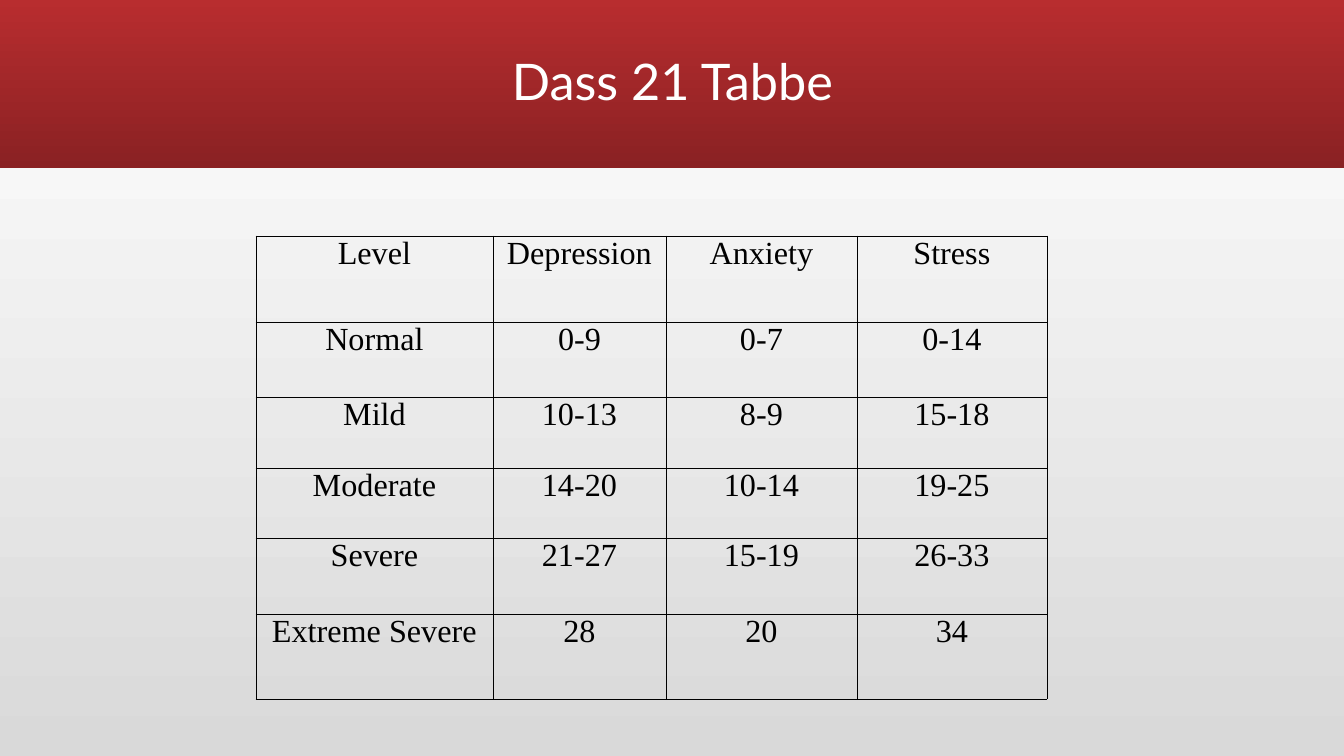
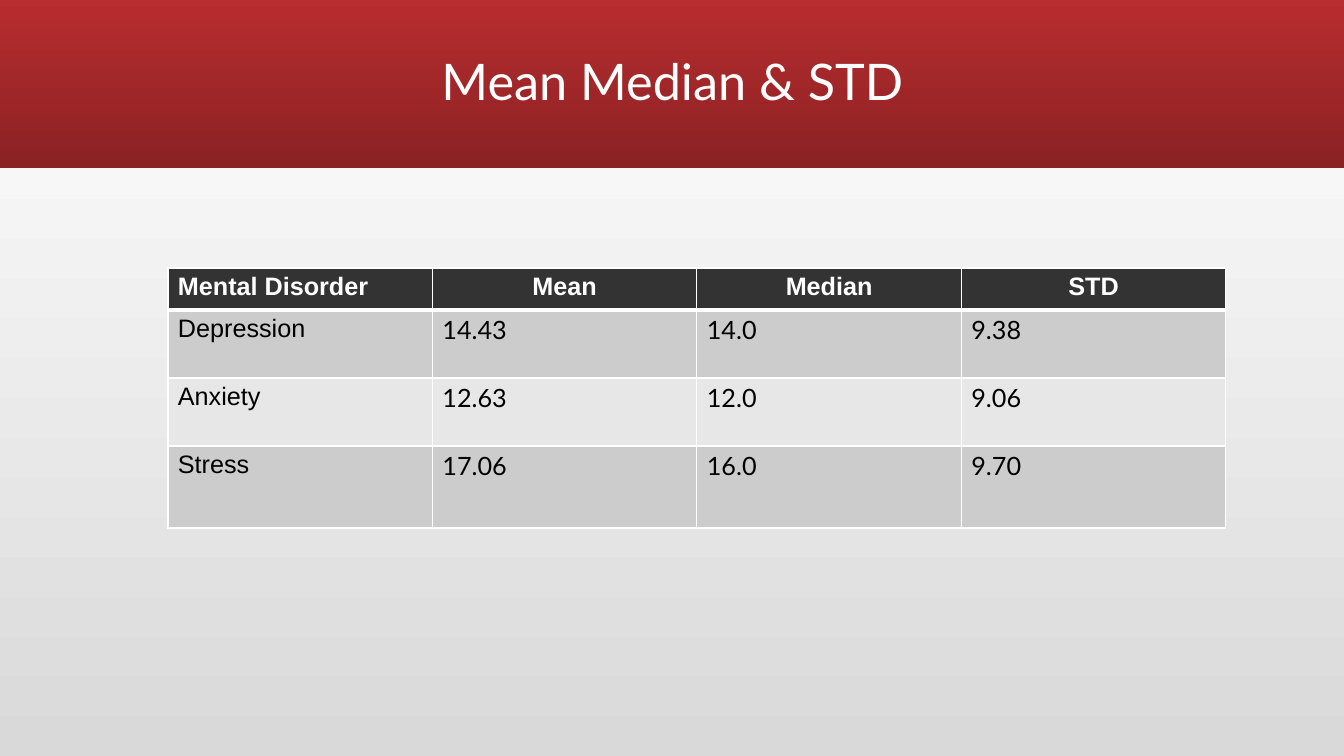
from lxml.etree import SubElement
from pptx import Presentation
from pptx.dml.color import RGBColor
from pptx.enum.shapes import MSO_SHAPE
from pptx.enum.text import MSO_ANCHOR, PP_ALIGN
from pptx.oxml.ns import qn
from pptx.util import Pt

PX = 914400 / 100.8  # EMU in one pixel
WIDTH, HEIGHT = 1344, 756

WHITE = RGBColor(0xFF, 0xFF, 0xFF)
BLACK = RGBColor(0x00, 0x00, 0x00)
BACK_GREY = RGBColor(0xD9, 0xD9, 0xD9)
BAND_RED = RGBColor(0xB8, 0x2D, 0x2F)
BAND_DARK = RGBColor(0x8A, 0x21, 0x23)
HEADER_GREY = RGBColor(0x33, 0x33, 0x33)
ROW_GREYS = RGBColor(0xCC, 0xCC, 0xCC), RGBColor(0xE7, 0xE7, 0xE7)


def px(*lengths):
    return [round(length * PX) for length in lengths]


def format_cell(cell, text, font, margins, align, edges, edge_color, fill_color=None):
    """Fill one table cell; edges gives the line widths left, right, top, bottom."""
    cell.text = text
    cell.margin_left = cell.margin_right = px(margins[0])[0]
    cell.margin_top = cell.margin_bottom = px(margins[1])[0]
    paragraph = cell.text_frame.paragraphs[0]
    paragraph.alignment = align
    color = font["color"]
    for name in ("name", "size", "bold"):
        setattr(paragraph.runs[0].font, name, font[name])
    paragraph.runs[0].font.color.rgb = color

    properties = cell._tc.get_or_add_tcPr()
    for side, width in zip("LRTB", edges):
        line = SubElement(properties, qn(f"a:ln{side}"), w=str(Pt(width)))
        solid = SubElement(line, qn("a:solidFill"))
        SubElement(solid, qn("a:srgbClr"), val=str(edge_color))
    if fill_color is None:
        cell.fill.background()
    else:
        cell.fill.solid()
        cell.fill.fore_color.rgb = fill_color


presentation = Presentation()
presentation.slide_width, presentation.slide_height = px(WIDTH, HEIGHT)
layout = presentation.slide_layouts[5]

# Slides with their titles
slides = []
for title_text in ("Dass 21 Tabbe", "Mean Median & STD"):
    slide = presentation.slides.add_slide(layout)
    title = slide.shapes.title
    title.left, title.top, title.width, title.height = px(118, 11, 1109, 146)
    title.text = title_text
    title.text_frame.vertical_anchor = MSO_ANCHOR.MIDDLE
    paragraph = title.text_frame.paragraphs[0]
    paragraph.alignment = PP_ALIGN.CENTER
    paragraph.line_spacing = 0.9
    for name, value in {"name": "Lato", "size": Pt(36), "bold": False}.items():
        setattr(paragraph.runs[0].font, name, value)
    paragraph.runs[0].font.color.rgb = WHITE
    slides.append(slide)
score_slide, statistics_slide = slides

# Shared background and title band, the band moved into the layout
band = score_slide.shapes.add_shape(MSO_SHAPE.RECTANGLE, *px(0, 0, WIDTH, 168))
band.shadow.inherit = False
band.line.fill.background()
background = presentation.slide_master.background
for fill, angle, colors in (
    (background.fill, 90, (BACK_GREY, WHITE)),
    (band.fill, 270, (BAND_RED, BAND_DARK)),
):
    fill.gradient()
    fill.gradient_angle = angle
    for stop, position, color in zip(fill.gradient_stops, (0, 1), colors):
        stop.position = position
        stop.color.rgb = color
layout.shapes.element.insert(2, band.element)

# Score ranges by level
score_rows = (
    ("Level", "Depression", "Anxiety", "Stress"),
    ("Normal", "0-9", "0-7", "0-14"),
    ("Mild", "10-13", "8-9", "15-18"),
    ("Moderate", "14-20", "10-14", "19-25"),
    ("Severe", "21-27", "15-19", "26-33"),
    ("Extreme Severe", "28", "20", "34"),
)
score_font = {"name": "Times New Roman", "size": Pt(23), "bold": False, "color": BLACK}
column_widths = (237, 173, 191, 190)
row_heights = (86, 75, 71, 70, 76, 85)
score_table = score_slide.shapes.add_table(
    len(score_rows), len(column_widths),
    *px(256, 236, sum(column_widths), sum(row_heights)),
).table
score_table.horz_banding = False
for column, width in zip(score_table.columns, px(*column_widths)):
    column.width = width
for row, height, texts in zip(score_table.rows, px(*row_heights), score_rows):
    row.height = height
    for cell, text in zip(row.cells, texts):
        format_cell(cell, text, score_font, (7, 0), PP_ALIGN.CENTER, (0.5,) * 4, BLACK)

# Statistics by disorder
statistics_rows = (
    ("Mental Disorder", "Mean", "Median", "STD"),
    ("Depression", "14.43", "14.0", "9.38"),
    ("Anxiety", "12.63", "12.0", "9.06"),
    ("Stress", "17.06", "16.0", "9.70"),
)
row_heights = (42, 68, 68, 82)
statistics_table = statistics_slide.shapes.add_table(
    len(statistics_rows), 4, *px(168, 268, 1058, sum(row_heights))
).table
statistics_table.horz_banding = False
for r, (row, height) in enumerate(zip(statistics_table.rows, px(*row_heights))):
    row.height = height
    is_header = r == 0
    fill_color = HEADER_GREY if is_header else ROW_GREYS[(r - 1) % 2]
    edges = (1, 1, 3 if r == 1 else 1, 3 if is_header else 1)
    for c, cell in enumerate(row.cells):
        font = {
            "name": "Arial" if is_header or c == 0 else "Lato",
            "size": Pt(18),
            "bold": is_header,
            "color": WHITE if is_header else BLACK,
        }
        align = PP_ALIGN.CENTER if is_header and c > 0 else PP_ALIGN.LEFT
        format_cell(cell, statistics_rows[r][c], font, (10, 5), align, edges, WHITE, fill_color)

presentation.save("out.pptx")
